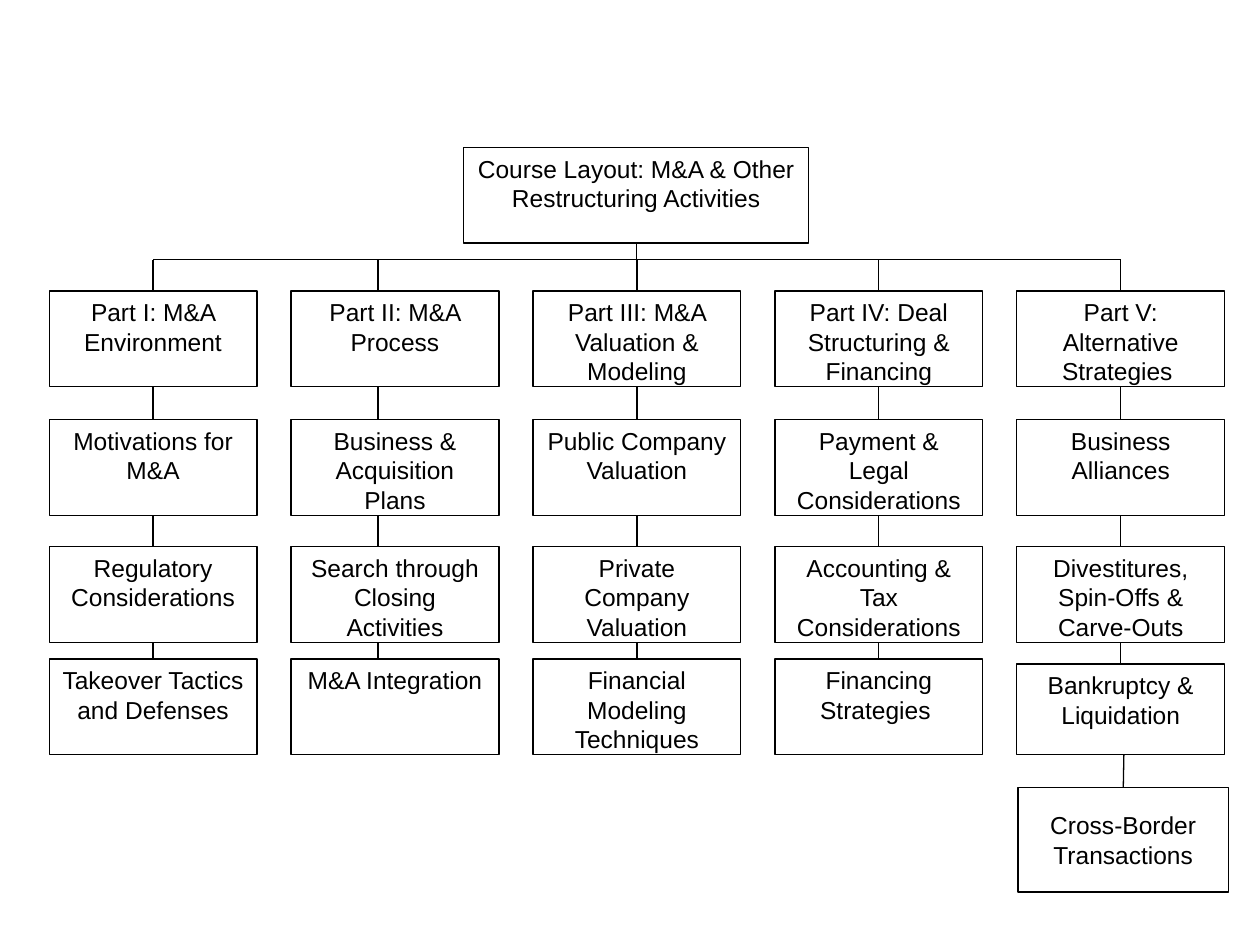
from lxml import etree
from pptx import Presentation
from pptx.dml.color import RGBColor
from pptx.enum.shapes import MSO_CONNECTOR, MSO_SHAPE
from pptx.enum.text import MSO_ANCHOR, PP_ALIGN
from pptx.oxml.ns import qn
from pptx.util import Inches, Pt

RECT, LINE = MSO_SHAPE.RECTANGLE, MSO_CONNECTOR.STRAIGHT
TOP, MIDDLE, CENTER = MSO_ANCHOR.TOP, MSO_ANCHOR.MIDDLE, PP_ALIGN.CENTER
UP, DOWN = 0, 2  # connection sites

# Content
ROOT = "Course Layout: M&A & Other Restructuring Activities"
PARTS = [
    ["Part I: M&A Environment", "Motivations for M&A",
     "Regulatory Considerations", "Takeover Tactics and Defenses"],
    ["Part II: M&A Process", "Business & Acquisition Plans",
     "Search through Closing Activities", "M&A Integration"],
    ["Part III: M&A Valuation & Modeling", "Public Company Valuation",
     "Private Company\nValuation", "Financial Modeling Techniques"],
    ["Part IV: Deal Structuring & Financing", "Payment & Legal Considerations",
     "Accounting & Tax Considerations", "Financing Strategies "],
    ["Part V: Alternative Strategies ", "Business Alliances",
     "Divestitures, Spin-Offs & Carve-Outs", "Bankruptcy & Liquidation"],
]
LAST = "Cross-Border\nTransactions"

# Layout in inches
LEFT, STEP, WIDE, HIGH = 0.39, 1.92, 1.65, 0.76
ROWS = [2.31, 3.33, 4.34, 5.23]
BUS = 2.06
OFF = {1: 3.0}  # column whose lines run left of centre
SPECIAL = {(4, 3): (5.27, 0.72)}  # top and height of the shorter box
FONT = {"name": "Arial", "size": Pt(14)}

deck = Presentation()
deck.slide_width, deck.slide_height = Inches(10), Inches(7.5)
slide = deck.slides.add_slide(deck.slide_layouts[6])


def color(code):
    return RGBColor.from_string(code)


def add_box(text, x, y, w, h, anchor=TOP, wrap=True):
    box = slide.shapes.add_shape(RECT, *map(Inches, (x, y, w, h)))
    box.shadow.inherit = False
    box.fill.solid()
    box.fill.fore_color.rgb = color("FFFFFF")
    box.line.color.rgb = color("000000")
    box.line.width = Pt(0.75)
    frame = box.text_frame
    frame.text = text
    frame.word_wrap, frame.vertical_anchor = wrap, anchor
    for para in frame.paragraphs:
        para.alignment = CENTER
        para.font.color.rgb = color("000000")
        for key, value in FONT.items():
            setattr(para.font, key, value)
    return box


def add_line(x1, y1, x2, y2, above=None, below=None):
    line = slide.shapes.add_connector(LINE, *map(Inches, (x1, y1, x2, y2)))
    line.line.color.rgb = color("000000")
    line.line.width = Pt(0.75)
    etree.SubElement(line._element.spPr, qn("a:effectLst"))
    if above is not None:
        line.begin_connect(above, DOWN)
    if below is not None:
        line.end_connect(below, UP)


# Root, stem and bus
root = add_box(ROOT, 3.68, 1.17, 2.74, HIGH)
add_line(5.05, 1.93, 5.05, BUS, above=root)
half = WIDE / 2
add_line(LEFT + half, BUS, LEFT + 4 * STEP + half, BUS)

# Columns, each box joined to the one above
for col, names in enumerate(PARTS):
    x = LEFT + col * STEP
    mid = OFF.get(col, x + half)
    prev, end = None, BUS
    for row, name in enumerate(names):
        y, h = SPECIAL.get((col, row), (ROWS[row], HIGH))
        box = add_box(name, x, y, WIDE, h)
        if col in OFF:
            add_line(mid, end, mid, y)
        else:
            add_line(mid, end, mid, y, prev, box)
        prev, end = box, y + h

# Closing box under the last column
last = add_box(LAST, 8.08, 6.25, 1.67, 0.83, MIDDLE, False)
add_line(8.92, end, 8.92, 6.25, below=last)

deck.save("out.pptx")
